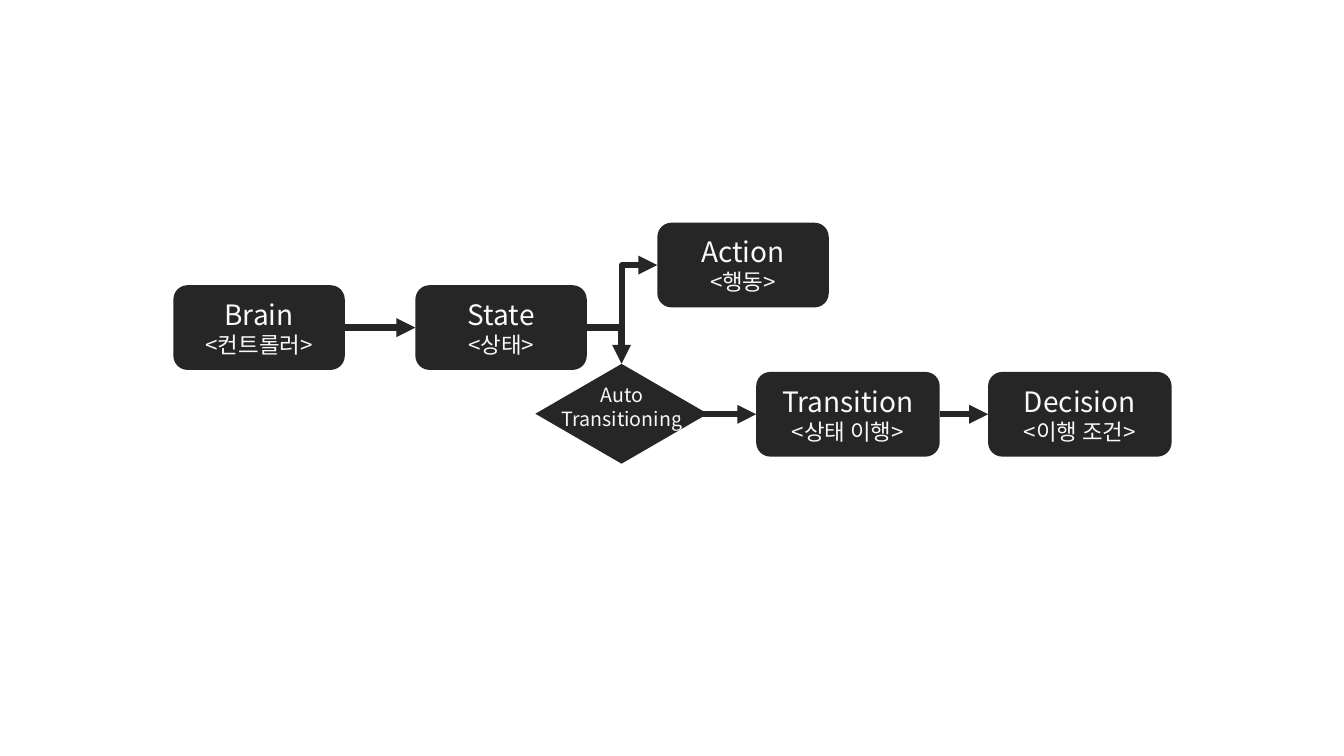
from dataclasses import dataclass
from typing import Optional

from lxml import etree
from pptx import Presentation
from pptx import util as u
from pptx.dml.color import RGBColor
from pptx.enum import shapes, text
from pptx.oxml import ns

COLORS = {"ink": "262626", "paper": "F9F9F9"}
FONT = "Noto Sans CJK KR"
TOP, LEFT, BOTTOM, RIGHT = range(4)


@dataclass(frozen=True)
class Node:
    left: float
    top: float
    width: float
    height: float = 0.84
    name: str = ""
    meaning: str = ""
    preset: shapes.MSO_SHAPE = shapes.MSO_SHAPE.ROUNDED_RECTANGLE


@dataclass(frozen=True)
class Arrow:
    source: str
    target: str
    start: tuple[float, float]
    end: tuple[float, float]
    target_site: int = LEFT
    source_site: Optional[int] = RIGHT
    preset: str = "line"


NODES = {
    "brain": Node(1.72, 2.83, 1.7, name="Brain", meaning="<컨트롤러>"),
    "state": Node(4.12, 2.83, 1.7, name="State", meaning="<상태>"),
    "action": Node(6.52, 2.21, 1.7, name="Action", meaning="<행동>"),
    "transition": Node(7.5, 3.69, 1.82, name="Transition", meaning="<상태 이행>"),
    "decision": Node(9.8, 3.69, 1.82, name="Decision", meaning="<이행 조건>"),
    "auto": Node(5.31, 3.61, 1.71, 0.99, preset=shapes.MSO_SHAPE.FLOWCHART_DECISION),
}
ARROWS = [
    Arrow("brain", "state", (3.42, 3.25), (4.12, 3.25)),
    Arrow("state", "action", (5.82, 3.25), (6.52, 2.63), preset="bentConnector3"),
    Arrow("transition", "decision", (9.32, 4.11), (9.8, 4.11)),
    Arrow("state", "auto", (5.82, 3.25), (6.17, 3.61), TOP, preset="bentConnector2"),
    Arrow("auto", "transition", (6.74, 4.11), (7.5, 4.11), source_site=None),
]


def write(frame, lines: list[str], *, sizes: list[int], anchor) -> None:
    """Write centred lines, each in its own size."""
    frame.word_wrap = True
    frame.vertical_anchor = anchor
    for index, (line, size) in enumerate(zip(lines, sizes)):
        paragraph = frame.add_paragraph() if index else frame.paragraphs[0]
        paragraph.alignment = text.PP_ALIGN.CENTER
        run = paragraph.add_run()
        run.text = line
        run.font.size = u.Pt(size)
        run.font.name = FONT
        run.font.color.rgb = RGBColor.from_string(COLORS["paper"])
        east_asian = etree.SubElement(run.font._element, ns.qn("a:ea"))
        east_asian.set("typeface", FONT)


def draw_node(slide, node: Node):
    """Draw one dark node with its name and meaning."""
    box = (u.Inches(v) for v in (node.left, node.top, node.width, node.height))
    shape = slide.shapes.add_shape(node.preset, *box)
    shape.shadow.inherit = False
    shape.fill.solid()
    shape.fill.fore_color.rgb = RGBColor.from_string(COLORS["ink"])
    shape.line.fill.background()
    if node.name:
        write(shape.text_frame, [node.name, node.meaning], sizes=[20, 16],
              anchor=text.MSO_ANCHOR.MIDDLE)
    return shape


def draw_arrow(slide, arrow: Arrow, drawn: dict) -> None:
    """Draw one arrow and attach it to its nodes."""
    straight = arrow.preset == "line"
    kind = shapes.MSO_CONNECTOR.STRAIGHT if straight else shapes.MSO_CONNECTOR.ELBOW
    ends = (u.Inches(v) for v in (*arrow.start, *arrow.end))
    connector = slide.shapes.add_connector(kind, *ends)
    if arrow.source_site is not None:
        connector.begin_connect(drawn[arrow.source], arrow.source_site)
    connector.end_connect(drawn[arrow.target], arrow.target_site)
    connector.line.width = u.Pt(4.5)
    connector.line.color.rgb = RGBColor.from_string(COLORS["ink"])
    properties = connector._element.spPr
    properties.find(ns.qn("a:prstGeom")).set("prst", arrow.preset)
    head = etree.SubElement(properties.find(ns.qn("a:ln")), ns.qn("a:tailEnd"))
    head.set("type", "triangle")
    etree.SubElement(properties, ns.qn("a:effectLst"))


def main() -> None:
    """Build the state machine slide."""
    deck = Presentation()
    deck.slide_width, deck.slide_height = u.Inches(13.33), u.Inches(7.5)
    slide = deck.slides.add_slide(deck.slide_layouts[6])
    drawn = {key: draw_node(slide, node) for key, node in NODES.items()}
    auto_label = slide.shapes.add_textbox(*(u.Inches(v) for v in (5.47, 3.75, 1.4, 0.57)))
    write(auto_label.text_frame, ["Auto", "Transitioning"], sizes=[14, 14],
          anchor=text.MSO_ANCHOR.TOP)
    for arrow in ARROWS:
        draw_arrow(slide, arrow, drawn)
    deck.save("out.pptx")


if __name__ == "__main__":
    main()
